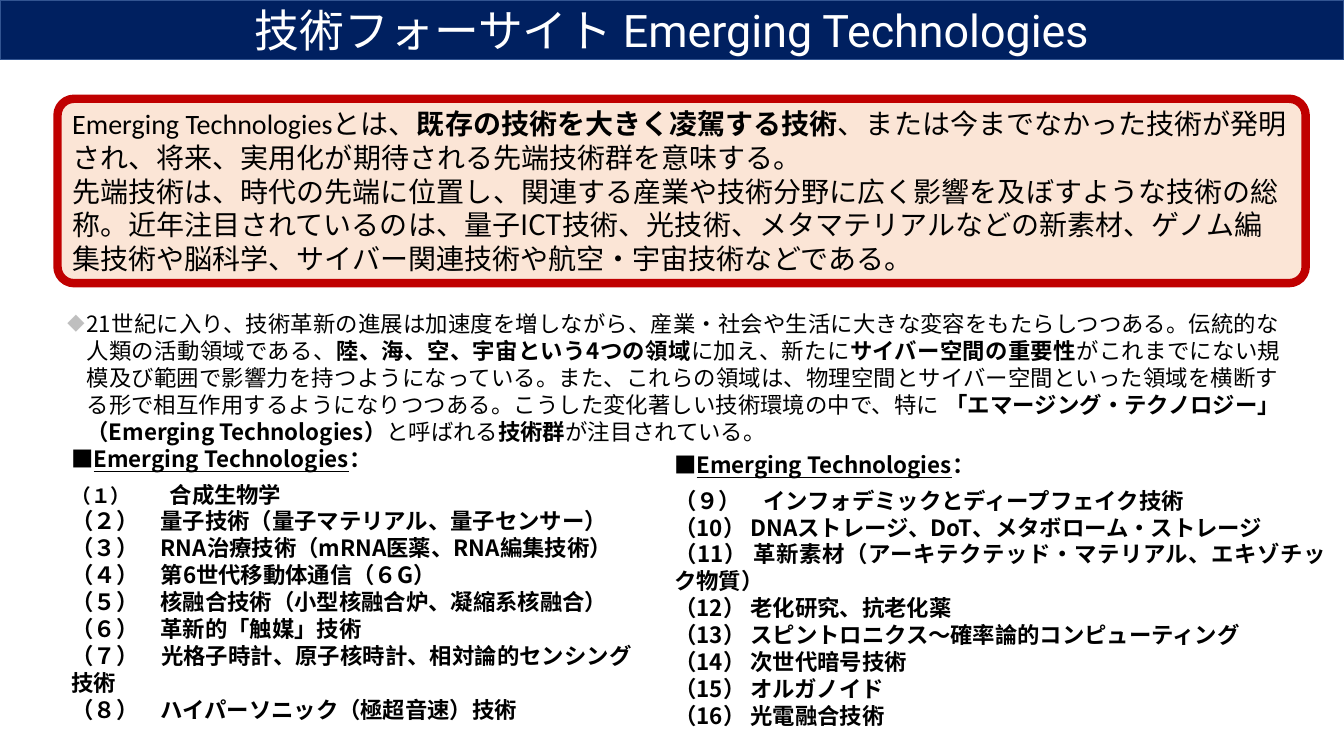
from dataclasses import dataclass

from lxml import etree
from pptx import Presentation
from pptx.dml.color import RGBColor
from pptx.enum import shapes, text
from pptx.oxml import ns
from pptx.util import Inches, Pt


@dataclass(frozen=True)
class Theme:
    navy: str = "002060"
    navy_edge: str = "325491"
    peach: str = "FBE5D6"
    red: str = "C00000"
    black: str = "000000"
    white: str = "FFFFFF"
    bullet: str = "BFBFBF"
    japanese: str = "Noto Sans CJK JP"
    title_latin: str = "Roboto"
    lead_latin: str = "Calibri"
    title_size: int = 32
    lead_size: int = 20
    body_size: int = 16
    label_size: int = 14


THEME = Theme()

TERM = "Emerging Technologies"
DEFINITION = [
    (TERM, {"font": THEME.lead_latin}),
    ("とは、", {}),
    ("既存の技術を大きく凌駕する技術", {"bold": True}),
    ("、または今までなかった技術が発明され、将来、実用化が期待される先端技術群を意味する。", {}),
]
EXAMPLES = [
    ("先端技術は、時代の先端に位置し、関連する産業や技術分野に広く影響を及ぼすような技術の総称。"
     "近年注目されているのは、量子ICT技術、光技術、メタマテリアルなどの新素材、ゲノム編集技術や脳科学、"
     "サイバー関連技術や航空・宇宙技術などである。", {}),
]
BACKGROUND = [
    ("21世紀に入り、技術革新の進展は加速度を増しながら、産業・社会や生活に大きな変容をもたらしつつある。"
     "伝統的な人類の活動領域である、", {}),
    ("陸、海、空、宇宙という4つの領域", {"bold": True}),
    ("に加え、新たに", {}),
    ("サイバー空間の重要性", {"bold": True}),
    ("がこれまでにない規模及び範囲で影響力を持つようになっている。また、これらの領域は、"
     "物理空間とサイバー空間といった領域を横断する形で相互作用するようになりつつある。"
     "こうした変化著しい技術環境の中で、特に", {}),
    (" 「エマージング・テクノロジー」（Emerging Technologies）", {"bold": True}),
    ("と呼ばれる", {}),
    ("技術群", {"bold": True}),
    ("が注目されている。", {}),
]
FIRST_TECHNOLOGIES = [
    [("（１）　　", {"size": THEME.label_size}), ("合成生物学", {})],
    [("（２）　量子技術（量子マテリアル、量子センサー）", {})],
    [("（３）　RNA治療技術（mRNA医薬、RNA編集技術）", {})],
    [("（４）　第6世代移動体通信（６G）", {})],
    [("（５）　核融合技術（小型核融合炉、凝縮系核融合）", {})],
    [("（６）　革新的「触媒」技術", {})],
    [("（７）　光格子時計、原子核時計、相対論的センシング技術", {})],
    [("（８）　ハイパーソニック（極超音速）技術", {})],
]
SECOND_TECHNOLOGIES = [
    [("（９）　インフォデミックとディープフェイク技術", {})],
    [("（10） DNAストレージ、DoT、メタボローム・ストレージ", {})],
    [("（11） 革新素材（アーキテクテッド・マテリアル、エキゾチック物質）", {})],
    [("（12） 老化研究、抗老化薬", {})],
    [("（13） スピントロニクス～確率論的コンピューティング", {})],
    [("（14） 次世代暗号技術", {})],
    [("（15） オルガノイド", {})],
    [("（16） 光電融合技術", {})],
]


def write(paragraph, wording, size=THEME.body_size, font=THEME.japanese,
          color=THEME.black, bold=False, underline=False):
    run = paragraph.add_run()
    run.text = wording
    run.font.size = Pt(size)
    run.font.bold = bold
    run.font.underline = underline
    run.font.color.rgb = RGBColor.from_string(color)
    run.font.name = font
    east_asian = etree.SubElement(run.font._element, ns.qn("a:ea"))
    east_asian.set("typeface", THEME.japanese)


def fill_frame(frame, paragraphs, align, **defaults):
    frame.word_wrap = True
    for index, runs in enumerate(paragraphs):
        paragraph = frame.add_paragraph() if index else frame.paragraphs[0]
        paragraph.alignment = align
        for wording, changes in runs:
            write(paragraph, wording, **{**defaults, **changes})


def add_panel(slide, box, preset, fill, edge, edge_width):
    panel = slide.shapes.add_shape(preset, *map(Inches, box))
    panel.shadow.inherit = False
    panel.fill.solid()
    panel.fill.fore_color.rgb = RGBColor.from_string(fill)
    panel.line.color.rgb = RGBColor.from_string(edge)
    panel.line.width = Pt(edge_width)
    panel.text_frame.vertical_anchor = text.MSO_ANCHOR.MIDDLE
    return panel


def add_body(slide, box, paragraphs, **defaults):
    frame = slide.shapes.add_textbox(*map(Inches, box)).text_frame
    fill_frame(frame, paragraphs, text.PP_ALIGN.JUSTIFY, **defaults)
    frame.auto_size = text.MSO_AUTO_SIZE.SHAPE_TO_FIT_TEXT
    return frame


def add_title_band(slide, box):
    band = add_panel(slide, box, shapes.MSO_SHAPE.RECTANGLE, THEME.navy, THEME.navy_edge, 1)
    title = [("技術フォーサイト ", {}), (TERM, {"font": THEME.title_latin})]
    fill_frame(band.text_frame, [title], text.PP_ALIGN.CENTER,
               size=THEME.title_size, color=THEME.white)


def add_definition(slide, box):
    card = add_panel(slide, box, shapes.MSO_SHAPE.ROUNDED_RECTANGLE, THEME.peach, THEME.red, 6)
    card.adjustments[0] = 0.09
    fill_frame(card.text_frame, [DEFINITION, EXAMPLES], text.PP_ALIGN.LEFT, size=THEME.lead_size)


def add_background(slide, box):
    paragraph = add_body(slide, box, [BACKGROUND]).paragraphs[0]
    properties = paragraph._p.get_or_add_pPr()
    properties.set("marL", str(Inches(0.19)))
    properties.set("indent", str(-Inches(0.19)))
    bullet_color = etree.SubElement(properties, ns.qn("a:buClr"))
    etree.SubElement(bullet_color, ns.qn("a:srgbClr")).set("val", THEME.bullet)
    etree.SubElement(properties, ns.qn("a:buChar")).set("char", "◆")


def add_technology_list(slide, box, technologies):
    heading = [("■", {}), (TERM, {"underline": True}), ("：", {})]
    frame = add_body(slide, box, [heading, *technologies], bold=True)
    frame.paragraphs[0].space_after = Pt(6)


def main():
    deck = Presentation()
    deck.slide_width, deck.slide_height = Inches(13.33), Inches(7.5)
    slide = deck.slides.add_slide(deck.slide_layouts[6])
    add_technology_list(slide, (0.61, 4.37, 5.76, 2.61), FIRST_TECHNOLOGIES)
    add_background(slide, (0.57, 3.03, 12.23, 1.18))
    add_definition(slide, (0.57, 0.98, 12.38, 1.83))
    add_technology_list(slide, (6.59, 4.43, 6.67, 2.68), SECOND_TECHNOLOGIES)
    add_title_band(slide, (0, 0, 13.33, 0.59))
    deck.save("out.pptx")


if __name__ == "__main__":
    main()
